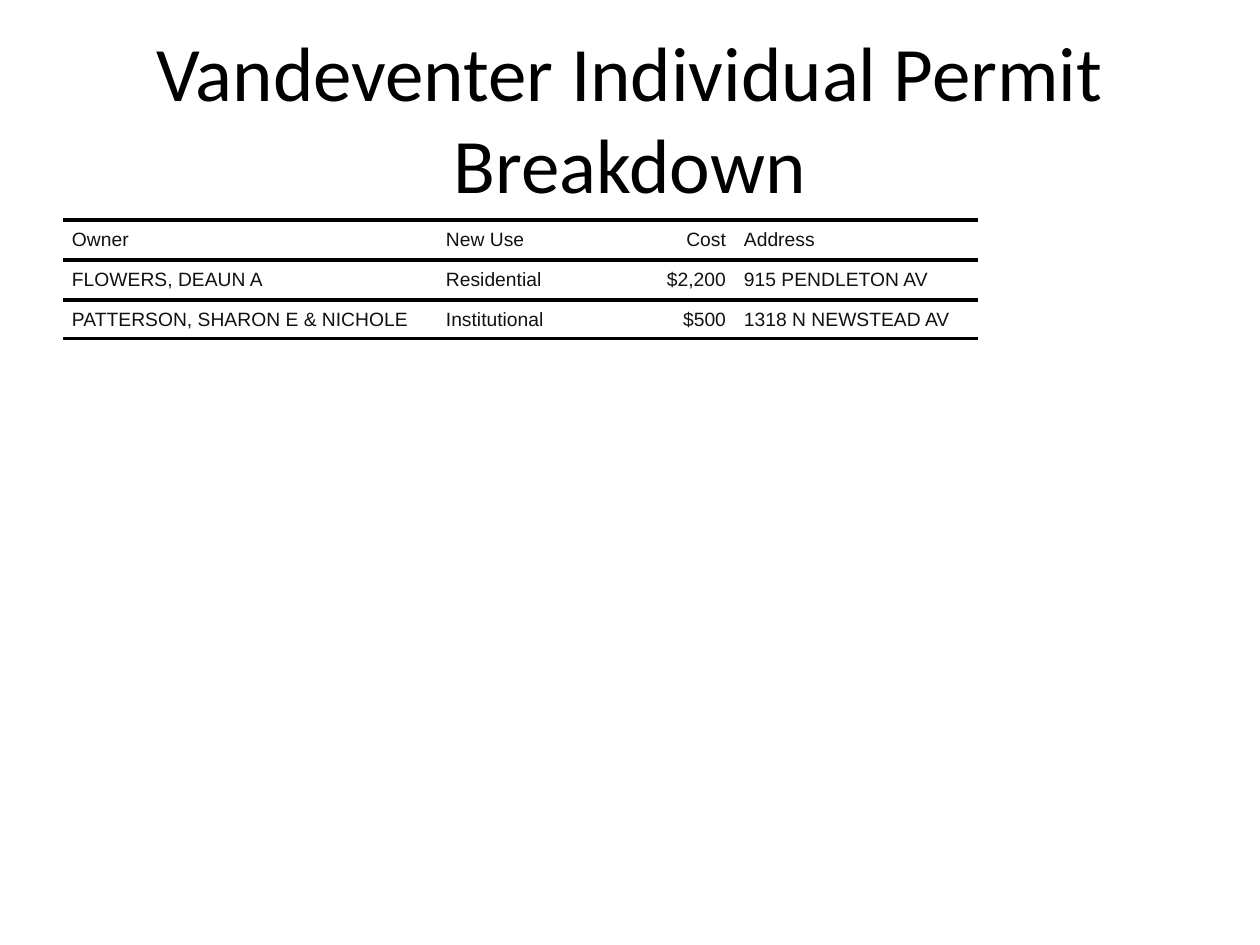
from lxml import etree
from pptx import Presentation
from pptx.dml.color import RGBColor
from pptx.enum.text import MSO_ANCHOR, PP_ALIGN
from pptx.oxml.ns import qn
from pptx.util import Pt

MIDDLE = MSO_ANCHOR.MIDDLE
LEFT, CENTER, RIGHT = PP_ALIGN.LEFT, PP_ALIGN.CENTER, PP_ALIGN.RIGHT

TITLE = "Vandeventer Individual Permit Breakdown"
COLUMNS = [
    ("Owner", 374, LEFT),
    ("New Use", 134, LEFT),
    ("Cost", 164, RIGHT),
    ("Address", 243, LEFT),
]
PERMITS = [
    ("FLOWERS, DEAUN A", "Residential", "$2,200", "915 PENDLETON AV"),
    ("PATTERSON, SHARON E & NICHOLE", "Institutional", "$500", "1318 N NEWSTEAD AV"),
]
ROW_HEIGHTS = [40, 40, 39]
PLAIN_STYLE = "{2D5ABB26-0587-4C30-8999-92F81FD0307C}"
BLACK, INK = "000000", "111111"


def px(length):
    return round(length * 914400 / 126)


def color(value):
    return RGBColor.from_string(value)


def write(para, text, font, size, ink, align):
    para.alignment = align
    span = para.add_run()
    span.text = text
    span.font.name = font
    span.font.size = Pt(size)
    span.font.color.rgb = color(ink)


def add_rule(cell, side):
    properties = cell._tc.get_or_add_tcPr()
    line = etree.SubElement(properties, qn(f"a:{side}"), w=str(Pt(2)))
    fill = etree.SubElement(line, qn("a:solidFill"))
    etree.SubElement(fill, qn("a:srgbClr"), val=BLACK)


def fill_cell(cell, text, align, sides):
    cell.margin_left = cell.margin_right = 0
    cell.margin_top = cell.margin_bottom = 0
    cell.vertical_anchor = MIDDLE
    for side in sides:
        add_rule(cell, side)
    cell.fill.background()
    para = cell.text_frame.paragraphs[0]
    para.space_before = para.space_after = Pt(2)
    properties = para._p.get_or_add_pPr()
    for margin in ("marL", "marR"):
        properties.set(margin, str(px(9)))
    write(para, text, "Arial", 11, INK, align)


def add_title(page):
    box = page.shapes.add_textbox(px(63), px(38), px(1134), px(157))
    frame = box.text_frame
    frame.word_wrap = True
    frame.vertical_anchor = MIDDLE
    write(frame.paragraphs[0], TITLE, "Calibri", 44, BLACK, CENTER)


def add_permits(page):
    names, widths, aligns = zip(*COLUMNS)
    rows = [names, *PERMITS]
    table = page.shapes.add_table(
        len(rows), len(COLUMNS), px(63), px(220), px(sum(widths)), px(sum(ROW_HEIGHTS))
    ).table
    table.first_row = table.horz_banding = False
    table._tbl.tblPr.find(qn("a:tableStyleId")).text = PLAIN_STYLE
    for column, width in zip(table.columns, widths):
        column.width = px(width)
    for index, values in enumerate(rows):
        table.rows[index].height = px(ROW_HEIGHTS[index])
        sides = []
        if index < 2:
            sides.append("lnT")
        if index in (0, len(rows) - 1):
            sides.append("lnB")
        for cell, text, align in zip(table.rows[index].cells, values, aligns):
            fill_cell(cell, text, align, sides)


def main():
    deck = Presentation()
    deck.slide_width, deck.slide_height = px(1260), px(945)
    page = deck.slides.add_slide(deck.slide_layouts[6])
    add_title(page)
    add_permits(page)
    deck.save("out.pptx")


if __name__ == "__main__":
    main()
